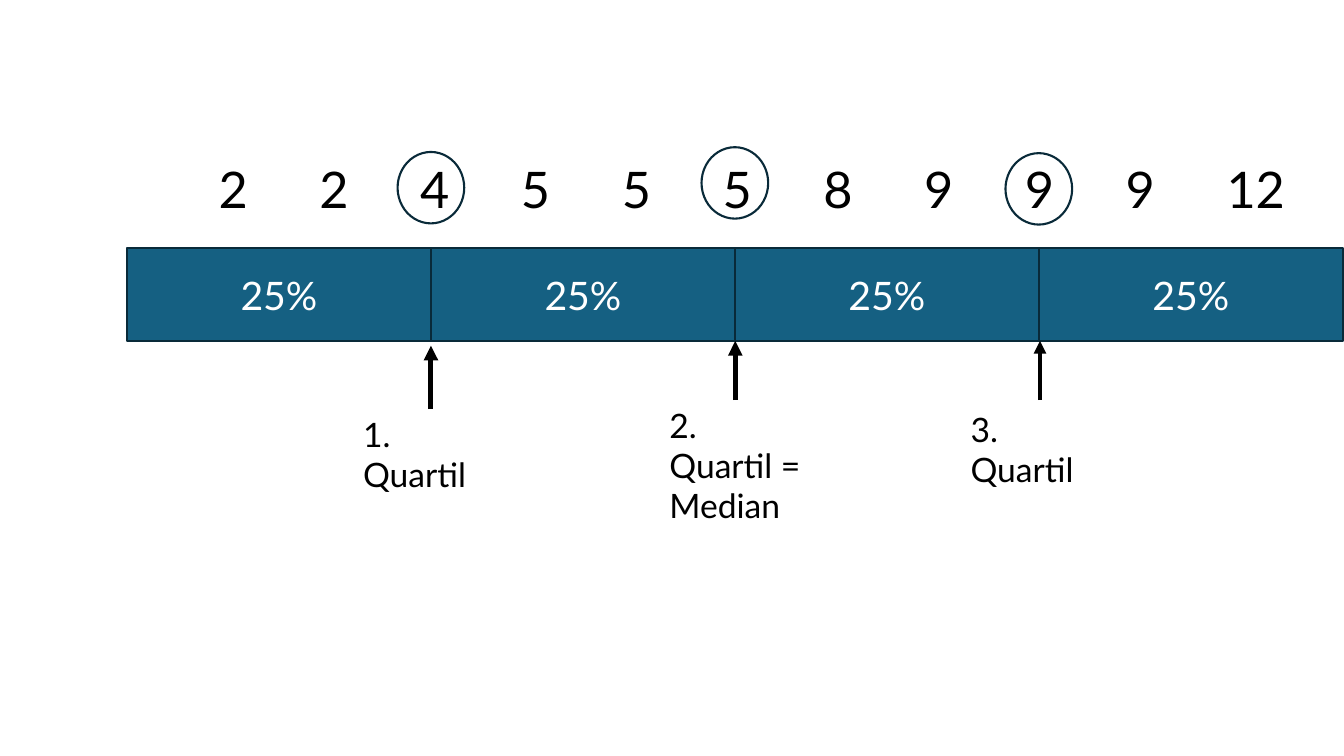
"""Build a slide that shows the quartiles of a row of numbers."""
from dataclasses import dataclass

from pptx import Presentation
from pptx import util as u
from pptx.dml.color import RGBColor
from pptx.enum import shapes, text
from pptx.oxml.ns import qn
from lxml import etree


@dataclass(frozen=True)
class Theme:
    font: str = "Lato"
    bar: RGBColor = RGBColor(0x15, 0x60, 0x82)
    outline: RGBColor = RGBColor(0x09, 0x2A, 0x39)
    ink: RGBColor = RGBColor(0, 0, 0)
    light: RGBColor = RGBColor(255, 255, 255)
    value_size: int = 36
    share_size: int = 28
    label_size: int = 24
    outline_width: float = 1.5


@dataclass(frozen=True)
class Quartile:
    label: str
    label_left: float
    label_top: float
    label_height: float
    arrow_x: float
    arrow_start: float
    arrow_tip: float
    arrow_width: float
    ring_top: float


THEME = Theme()
BAR_LEFT, BAR_TOP, BAR_HEIGHT = 3.2, 6.24, 2.36
PART_WIDTH, PARTS = 7.66, 4
RING_WIDTH, RING_HEIGHT = 1.68, 1.8
LABEL_WIDTH = 3.94
TAB_WIDTH = 2.54
VALUES = (2, 2, 4, 5, 5, 5, 8, 9, 9, 9, 12)
QUARTILES = (
    Quartile("1. Quartil", 8.9, 10.3, 1.27, 10.86, 10.31, 8.71, 3.5, 3.83),
    Quartile("2. Quartil = Median", 16.62, 10.07, 2.31, 18.53, 10.08, 8.59, 3.5, 3.71),
    Quartile("3. Quartil", 24.21, 10.17, 1.27, 26.21, 10.08, 8.59, 3, 3.86),
)


def boundary(index: int) -> float:
    """Return the left edge of a quarter of the bar."""
    return BAR_LEFT + index * PART_WIDTH


def write(sp, content: str, size: int, color: RGBColor) -> None:
    """Put one formatted paragraph into a shape."""
    tf = sp.text_frame
    tf.word_wrap = True
    tf.text = content
    p = tf.paragraphs[0]
    p._p.get_or_add_pPr().set("defTabSz", str(u.Cm(TAB_WIDTH)))
    for r in p.runs:
        r.font.name = THEME.font
        r.font.size = u.Pt(size)
        r.font.color.rgb = color


def add_outlined(s, kind, left: float, top: float, width: float, height: float):
    """Add an unfilled preset shape with the dark outline."""
    sp = s.shapes.add_shape(kind, u.Cm(left), u.Cm(top), u.Cm(width), u.Cm(height))
    sp.shadow.inherit = False
    sp.fill.background()
    sp.line.color.rgb = THEME.outline
    sp.line.width = u.Pt(THEME.outline_width)
    return sp


def add_part(s, index: int) -> None:
    """Add one quarter of the bar."""
    sp = add_outlined(s, shapes.MSO_SHAPE.RECTANGLE, boundary(index), BAR_TOP,
                      PART_WIDTH, BAR_HEIGHT)
    sp.fill.solid()
    sp.fill.fore_color.rgb = THEME.bar
    write(sp, "25%", THEME.share_size, THEME.light)
    sp.text_frame.vertical_anchor = text.MSO_ANCHOR.MIDDLE
    sp.text_frame.paragraphs[0].alignment = text.PP_ALIGN.CENTER


def add_text(s, content: str, left: float, top: float, width: float,
             height: float, size: int) -> None:
    """Add a wrapped text box."""
    sp = s.shapes.add_textbox(u.Cm(left), u.Cm(top), u.Cm(width), u.Cm(height))
    write(sp, content, size, THEME.ink)
    sp.text_frame.auto_size = text.MSO_AUTO_SIZE.SHAPE_TO_FIT_TEXT


def add_arrow(s, x: float, start: float, tip: float, width: float) -> None:
    """Add an upward arrow."""
    c = s.shapes.add_connector(shapes.MSO_CONNECTOR.STRAIGHT,
                               u.Cm(x), u.Cm(start), u.Cm(x), u.Cm(tip))
    c.line.color.rgb = THEME.ink
    c.line.width = u.Pt(width)
    etree.SubElement(c.line._get_or_add_ln(), qn("a:tailEnd"), type="triangle")
    etree.SubElement(c._element.spPr, qn("a:effectLst"))


def add_quartile(s, x: float, q: Quartile) -> None:
    """Add the label, arrow and ring of a quartile."""
    add_text(s, q.label, q.label_left, q.label_top, LABEL_WIDTH,
             q.label_height, THEME.label_size)
    add_arrow(s, q.arrow_x, q.arrow_start, q.arrow_tip, q.arrow_width)
    add_outlined(s, shapes.MSO_SHAPE.OVAL, x - RING_WIDTH / 2, q.ring_top,
                 RING_WIDTH, RING_HEIGHT)


def main() -> None:
    """Build and save the slide."""
    prs = Presentation()
    prs.slide_width, prs.slide_height = u.Cm(33.87), u.Cm(19.05)
    s = prs.slides.add_slide(prs.slide_layouts[6])
    for i in range(PARTS):
        add_part(s, i)
    add_text(s, "\t".join(map(str, VALUES)), 5.26, 3.86, 27.71, 1.8,
             THEME.value_size)
    for i, q in enumerate(QUARTILES, start=1):
        add_quartile(s, boundary(i), q)
    prs.save("out.pptx")


if __name__ == "__main__":
    main()
